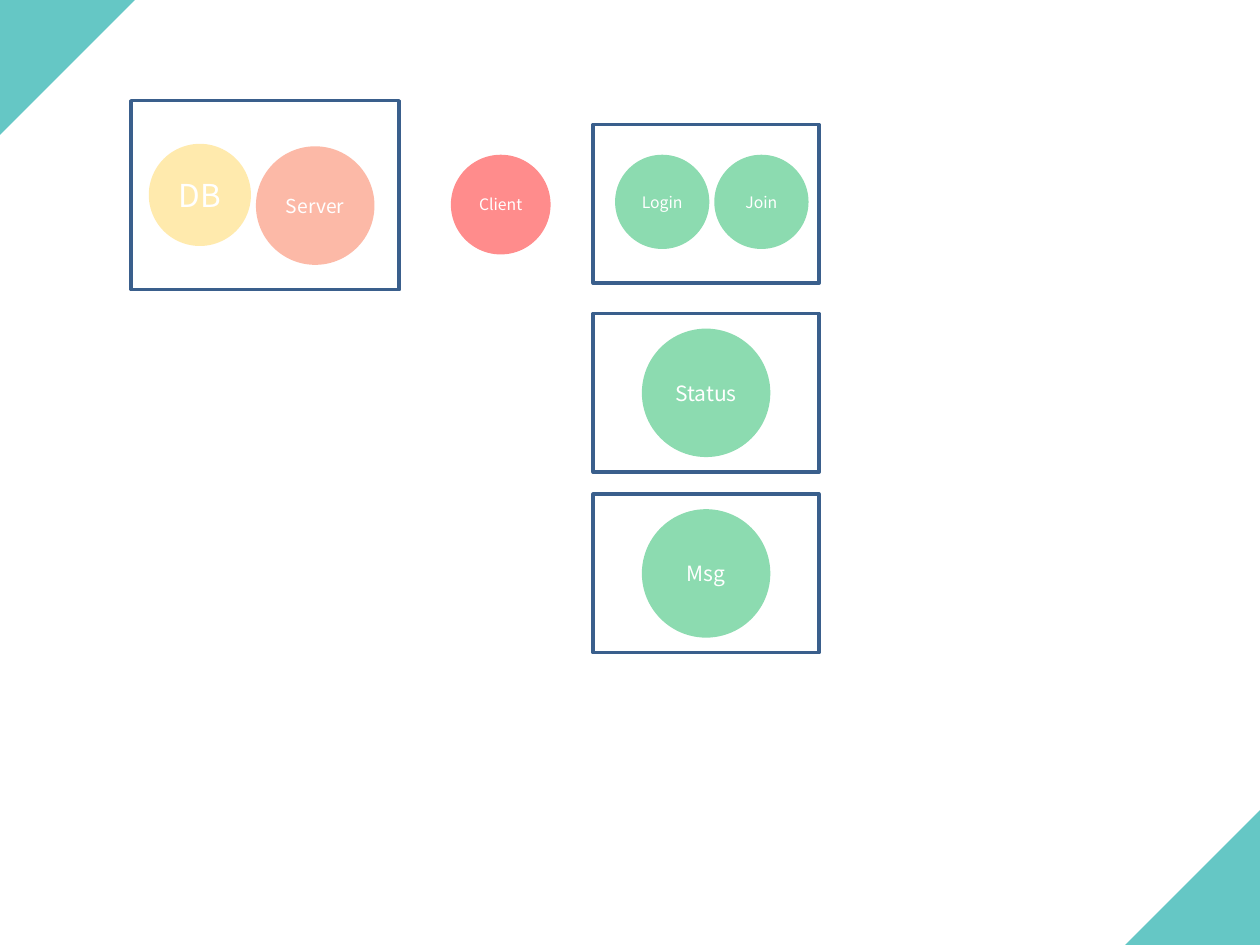
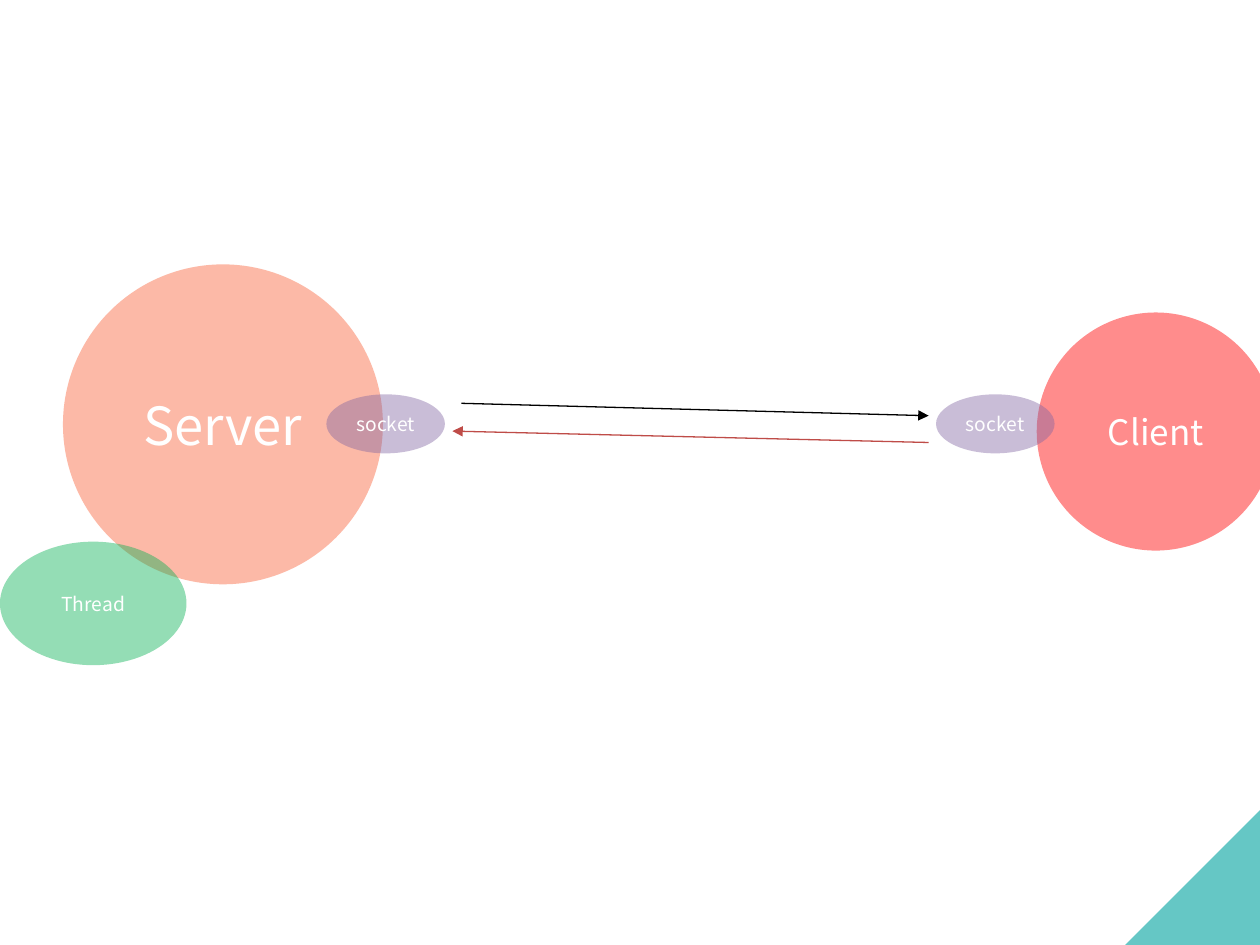
import lxml.etree
import pptx
import pptx.util
import pptx.dml.color
import pptx.enum.shapes
import pptx.enum.text
import pptx.oxml.ns

Cm = pptx.util.Cm
Pt = pptx.util.Pt
Kind = pptx.enum.shapes.MSO_SHAPE
qn = pptx.oxml.ns.qn

WIDE, HIGH = 25.4, 19.05
SIDE = 2.72

THEME = {
    "font": "Noto Sans CJK KR",
    "text": "FFFFFF",
    "panel": "FFFFFF",
    "frame": "3A5F8C",
    "corner": "65C7C5",
    "send": "000000",
    "reply": "BF4C48",
    "data": ("FFC000", 32),
    "server": ("FA5A2E", 42),
    "client": ("FF0000", 45),
    "page": ("00B050", 45),
    "thread": ("00B050", 42),
    "socket": ("8064A2", 42),
    "sizes": {"tiny": 9, "small": 11, "mid": 12, "big": 18, "large": 20, "huge": 30},
    "edge": 2,
    "wire": 0.75,
}

PANEL = (4.55, 3.2)
LEFT = 11.96
TOPS = {"Entry": 2.51, "Status": 6.32, "Msg": 9.96}
DISC = 2.59


def center(name):
    wide, high = PANEL
    return (name, "page", "mid", LEFT + (wide - DISC) / 2,
            TOPS[name] + (high - DISC) / 2, DISC, DISC)


SLIDES = [
    {
        "corners": ["top", "bottom"],
        "panels": [(2.64, 2.03, 5.41, 3.81)]
        + [(LEFT, top, *PANEL) for top in TOPS.values()],
        "discs": [
            ("DB", "data", "big", 3.0, 2.9, 2.06, 2.06),
            ("Server", "server", "small", 5.16, 2.95, 2.39, 2.39),
            ("Client", "client", "tiny", 9.09, 3.12, 2.01, 2.01),
            ("Login", "page", "tiny", 12.4, 3.12, 1.9, 1.9),
            ("Join", "page", "tiny", 14.4, 3.12, 1.9, 1.9),
            center("Status"),
            center("Msg"),
        ],
        "arrows": [],
    },
    {
        "corners": ["bottom"],
        "panels": [],
        "discs": [
            ("Server", "server", "huge", 1.27, 5.33, 6.45, 6.45),
            ("Client", "client", "large", 20.9, 6.3, 4.8, 4.8),
            ("socket", "socket", "small", 18.87, 7.95, 2.39, 1.19),
            ("Thread", "thread", "small", 0, 10.92, 3.76, 2.49),
            ("socket", "socket", "small", 6.58, 7.95, 2.39, 1.19),
        ],
        "arrows": [
            ("reply", 18.72, 8.92, 9.12, 8.69),
            ("send", 9.3, 8.13, 18.72, 8.38),
        ],
    },
]

CORNERS = {"top": (0, 0, 90), "bottom": (WIDE - SIDE, HIGH - SIDE, 270)}


def color(code):
    return pptx.dml.color.RGBColor.from_string(code)


def child(node, tag, **values):
    item = lxml.etree.SubElement(node, qn(tag))
    for key, value in values.items():
        item.set(key, str(value))


def shape(slide, kind, box, fill):
    item = slide.shapes.add_shape(kind, *map(Cm, box))
    item.shadow.inherit = False
    item.fill.solid()
    item.fill.fore_color.rgb = color(fill)
    item.line.fill.background()
    return item


def corner(slide, place):
    left, top, turn = CORNERS[place]
    item = shape(slide, Kind.RIGHT_TRIANGLE, (left, top, SIDE, SIDE), THEME["corner"])
    item.rotation = turn


def panel(slide, box):
    item = shape(slide, Kind.RECTANGLE, box, THEME["panel"])
    item.line.color.rgb = color(THEME["frame"])
    item.line.width = Pt(THEME["edge"])


def disc(slide, label, role, size, *box):
    fill, alpha = THEME[role]
    item = shape(slide, Kind.OVAL, box, fill)
    tint = item._element.spPr.find(qn("a:solidFill")).find(qn("a:srgbClr"))
    child(tint, "a:alpha", val=alpha * 1000)
    frame = item.text_frame
    frame.word_wrap = False
    frame.margin_left = frame.margin_right = 0
    frame.margin_top = frame.margin_bottom = 0
    frame.vertical_anchor = pptx.enum.text.MSO_ANCHOR.MIDDLE
    para = frame.paragraphs[0]
    para.alignment = pptx.enum.text.PP_ALIGN.CENTER
    run = para.add_run()
    run.text = label
    run.font.name = THEME["font"]
    run.font.size = Pt(THEME["sizes"][size])
    run.font.color.rgb = color(THEME["text"])


def arrow(slide, role, *ends):
    item = slide.shapes.add_connector(
        pptx.enum.shapes.MSO_CONNECTOR.STRAIGHT, *map(Cm, ends))
    item.line.color.rgb = color(THEME[role])
    item.line.width = Pt(THEME["wire"])
    props = item._element.spPr
    child(props.find(qn("a:ln")), "a:tailEnd", type="triangle")
    child(props, "a:effectLst")


deck = pptx.Presentation()
deck.slide_width, deck.slide_height = Cm(WIDE), Cm(HIGH)
blank = deck.slide_layouts[6]

for plan in SLIDES:
    slide = deck.slides.add_slide(blank)
    for box in plan["panels"]:
        panel(slide, box)
    for place in plan["corners"]:
        corner(slide, place)
    for row in plan["discs"]:
        disc(slide, *row)
    for row in plan["arrows"]:
        arrow(slide, *row)

deck.save("out.pptx")
